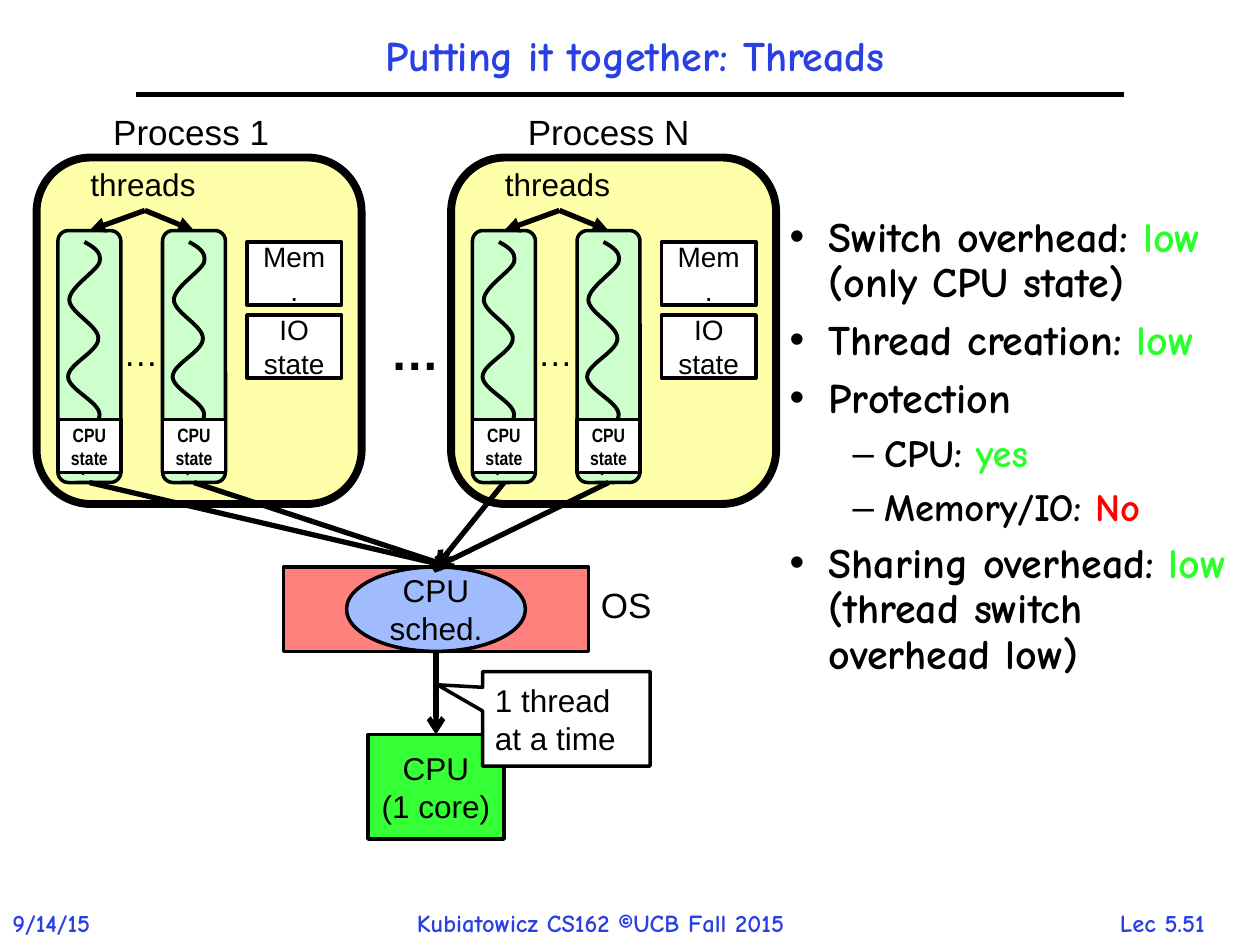
import pptx
import pptx.util
import pptx.dml.color
import pptx.enum.shapes
import pptx.enum.text
import pptx.oxml.ns
import lxml.etree

Inches = pptx.util.Inches
Pt = pptx.util.Pt
RGBColor = pptx.dml.color.RGBColor
Kind = pptx.enum.shapes.MSO_SHAPE
Align = pptx.enum.text.PP_ALIGN
Anchor = pptx.enum.text.MSO_ANCHOR
qn = pptx.oxml.ns.qn

BLACK = RGBColor(0, 0, 0)
WHITE = RGBColor(255, 255, 255)
BLUE = RGBColor(0x2A, 0x40, 0xE2)
LIME = RGBColor(0x2B, 0xFF, 0x2B)
RED = RGBColor(255, 0, 0)
ROSE = RGBColor(0xFF, 0x81, 0x7E)
SKY = RGBColor(0xA0, 0xBC, 0xFE)
GREEN = RGBColor(0x35, 0xFF, 0x35)
CREAM = RGBColor(0xFF, 0xFF, 0xAA)
MINT = RGBColor(0xCC, 0xFF, 0xCC)
COMIC = "Comic Neue"

TITLE = "Putting it together: Threads"
POINTS = [
    (0, [("Switch overhead: ", BLACK), ("low ", LIME), ("(only CPU state)", BLACK)]),
    (0, [("Thread creation: ", BLACK), ("low", LIME)]),
    (0, [("Protection", BLACK)]),
    (1, [("CPU: ", BLACK), ("yes", LIME)]),
    (1, [("Memory/IO: ", BLACK), ("No", RED)]),
    (0, [("Sharing overhead: ", BLACK), ("low", LIME),
         (" (thread switch overhead low)", BLACK)]),
]
LEVELS = [(24, 0.31, -0.31), (22, 0.75, -0.25)]
FOOT = [
    ("9/14/15", (0, 7.16, 1, 0.34), Align.LEFT),
    ("Kubiatowicz CS162 ©UCB Fall 2015", (3.21, 7.16, 3.61, 0.34), Align.LEFT),
    ("Lec 5.51", (8.62, 7.16, 1.21, 0.33), Align.CENTER),
]
TASKS = [("Process 1", 0.29, 3.58), ("Process N", 3.58, 3.46)]
LANES = [0.17, 1.0]
STORES = [(["IO", "state"], 2.5), (["Mem."], 1.92)]
START = (0.21, 0.09)
CURVES = [
    [(0.28, 0.13), (0.35, 0.17), (0.33, 0.25)],
    [(0.31, 0.32), (0.09, 0.45), (0.09, 0.55)],
    [(0.09, 0.65), (0.33, 0.76), (0.32, 0.86)],
    [(0.32, 0.96), (0.08, 1.06), (0.08, 1.16)],
    [(0.08, 1.26), (0.33, 1.36), (0.33, 1.46)],
    [(0.33, 1.57), (0.12, 1.7), (0.1, 1.77)],
    [(0.08, 1.85), (0.21, 1.93), (0.21, 1.93)],
]

deck = pptx.Presentation()
deck.slide_width, deck.slide_height = Inches(10), Inches(7.5)
slide = deck.slides.add_slide(deck.slide_layouts[1])
shapes = slide.shapes


def write(frame, lines, size=18, font="Arial", color=BLACK, bold=False,
          align=Align.LEFT, anchor=Anchor.TOP, wrap=True):
    frame.word_wrap = wrap
    frame.auto_size = pptx.enum.text.MSO_AUTO_SIZE.NONE
    frame.vertical_anchor = anchor
    for i, line in enumerate(lines):
        para = frame.paragraphs[0] if i == 0 else frame.add_paragraph()
        para.alignment = align
        for words, tint in [(line, color)] if isinstance(line, str) else line:
            run = para.add_run()
            run.text = words
            run.font.size, run.font.name, run.font.bold = Pt(size), font, bold
            run.font.color.rgb = tint


def place(shape, box):
    shape.left, shape.top, shape.width, shape.height = map(Inches, box)


def label(words, box, **fmt):
    write(shapes.add_textbox(*map(Inches, box)).text_frame, [words], wrap=False, **fmt)


def block(kind, box, fill, lines=(), width=2, align=Align.CENTER, **fmt):
    shape = shapes.add_shape(kind, *map(Inches, box))
    shape.shadow.inherit = False
    shape.fill.solid()
    shape.fill.fore_color.rgb = fill
    shape.line.color.rgb = BLACK
    shape.line.width = Pt(width)
    write(shape.text_frame, lines, align=align, anchor=Anchor.MIDDLE, **fmt)
    return shape


def link(start, end, head=None, source=None, goal=None):
    line = shapes.add_connector(pptx.enum.shapes.MSO_CONNECTOR.STRAIGHT,
                                *map(Inches, start + end))
    line.line.color.rgb = BLACK
    line.line.width = Pt(3)
    if head:
        lxml.etree.SubElement(line.line._get_or_add_ln(), qn("a:tailEnd"), type=head)
    lxml.etree.SubElement(line._element.spPr, qn("a:effectLst"))
    if source is not None:
        line.begin_connect(source, 2)
    if goal is not None:
        line.end_connect(goal, 0)


def trace(left, top):
    def spot(dot):
        return Inches(left + dot[0]), Inches(top + dot[1])

    pen = shapes.build_freeform(*spot(START))
    pen.add_line_segments([spot(curve[-1]) for curve in CURVES], close=False)
    wave = pen.convert_to_shape()
    for step, curve in zip(list(wave._element.iter(qn("a:lnTo"))), CURVES):
        bend = lxml.etree.Element(qn("a:cubicBezTo"))
        for x, y in map(spot, curve):
            lxml.etree.SubElement(bend, qn("a:pt"),
                                  x=str(x - wave.left), y=str(y - wave.top))
        step.getparent().replace(step, bend)
    wave.shadow.inherit = False
    wave.fill.background()
    wave.line.color.rgb = BLACK
    wave.line.width = Pt(2.25)


def draw_task(name, left, goal):
    label(name, (left + 0.51, 0.83, 1.45, 0.44), size=20)
    frame = block(Kind.ROUNDED_RECTANGLE, (left, 1.25, 2.58, 2.75), CREAM, width=4.5)
    frame.adjustments[0] = 0.167
    for lines, top in STORES:
        block(Kind.RECTANGLE, (left + 1.67, top, 0.75, 0.5), WHITE, lines, size=16)
    label("…", (left + 0.59, 2.58, 0.48, 0.44), size=20)
    label("threads", (left + 0.33, 1.26, 1.04, 0.4))
    for lane in LANES:
        x = left + lane
        thread = block(Kind.ROUNDED_RECTANGLE, (x, 1.83, 0.5, 2), MINT)
        thread.adjustments[0] = 0.167
        trace(x, 1.83)
        link((left + 0.86, 1.67), (x + 0.25, 1.83), "triangle", goal=thread)
        link((x + 0.25, 3.83), (goal, 4.5), "arrow", source=thread,
             goal=sched if goal == 3.46 else None)
        block(Kind.RECTANGLE, (x, 3.33, 0.5, 0.42), WHITE, ["CPU", "state"],
              size=11, font="Arial Narrow", bold=True)


title, body = shapes.title, slide.placeholders[1]
place(title, (0.33, 0.17, 9.42, 0.58))
write(title.text_frame, [TITLE], size=24, font=COMIC, color=BLUE, bold=True,
      align=Align.CENTER, anchor=Anchor.MIDDLE)
title.text_frame.paragraphs[0].line_spacing = 0.9

place(body, (37 / 6, 5 / 3, 3.92, 4.25))
write(body.text_frame, [runs for level, runs in POINTS], font=COMIC, bold=True)
for para, (level, runs) in zip(body.text_frame.paragraphs, POINTS):
    size, margin, indent = LEVELS[level]
    para.level = level
    para.line_spacing = 0.9
    para.space_before = Pt(7)
    props = para._p.get_or_add_pPr()
    props.set("marL", str(Inches(margin)))
    props.set("indent", str(Inches(indent)))
    for run in para.runs:
        run.font.size = Pt(size)

link((1.08, 0.75), (8.92, 0.75))
for words, box, align in FOOT:
    label(words, box, size=14, font=COMIC, color=BLUE, bold=True, align=align)

system = block(Kind.RECTANGLE, (2.25, 4.5, 2.42, 0.67), ROSE)
sched = block(Kind.OVAL, (2.75, 4.5, 1.42, 0.67), SKY, ["CPU sched."])
label("OS", (4.67, 4.58, 0.61, 0.44), size=20)
core = block(Kind.RECTANGLE, (2.92, 5.83, 1.08, 0.83), GREEN, ["CPU", "(1 core)"])
link((3.46, 5.17), (3.46, 5.83), "arrow", source=system, goal=core)
note = block(Kind.RECTANGULAR_CALLOUT, (3.83, 5.33, 1.33, 0.75), WHITE,
             ["1 thread at a time"], align=Align.LEFT)
note.adjustments[0], note.adjustments[1] = -0.77, -0.36

for name, left, goal in TASKS:
    draw_task(name, left, goal)
label("…", (3, 2.5, 0.6, 0.57), size=28, bold=True)

deck.save("out.pptx")
